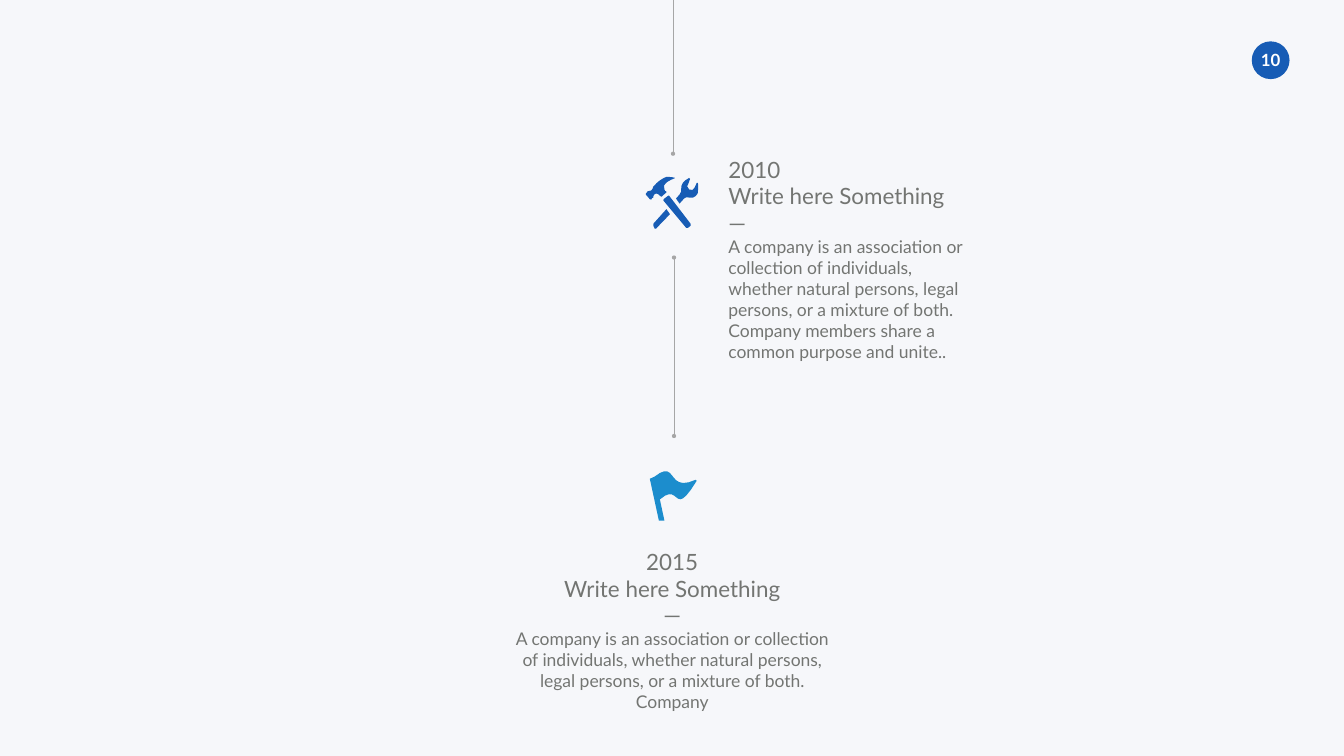
from math import dist

from lxml import etree
from pptx import Presentation
from pptx.dml.color import RGBColor
from pptx.enum.shapes import MSO_CONNECTOR, MSO_SHAPE
from pptx.enum.text import MSO_ANCHOR, MSO_AUTO_SIZE, PP_ALIGN
from pptx.oxml.ns import qn
from pptx.util import Inches, Pt

STRAIGHT, OVAL = MSO_CONNECTOR.STRAIGHT, MSO_SHAPE.OVAL
LEFT, CENTER, MIDDLE = PP_ALIGN.LEFT, PP_ALIGN.CENTER, MSO_ANCHOR.MIDDLE
GROW = MSO_AUTO_SIZE.SHAPE_TO_FIT_TEXT

THEME = {
    "font": "Lato", "background": "F6F7FA", "text": "737572", "rule": "A6A6A6",
    "blue": "175CB5", "sky": "1C8DCD", "white": "FFFFFF",
    "heading": 32, "body": 25, "number": 24, "rule_width": 0.5,
}
PAGE_NUMBER = "10"
BADGE = (24.83, 0.82, 0.75, 0.75)

MILESTONES = [
    {"box": (14.35, 3.04, 4.89, 4.24), "align": LEFT,
     "heading": ["2010", "Write here Something", "—"],
     "body": "A company is an association or collection of individuals, whether natural "
             "persons, legal persons, or a mixture of both. Company members share a "
             "common purpose and unite.."},
    {"box": (10.08, 10.82, 6.51, 2.98), "align": CENTER,
     "heading": ["2015", "Write here Something", "—"],
     "body": "A company is an association or collection of individuals, whether natural "
             "persons, legal persons, or a mixture of both. Company"},
]

TIMELINE = [
    {"x": 13.37, "start": 5.11, "end": 8.65, "dots": ("headEnd", "tailEnd")},
    {"x": 13.35, "start": 3.05, "end": 0, "dots": ("headEnd",)},
]

HAMMER_HEAD = [
    (12.98, 3.86), (13.01, 3.82, 13.05, 3.84, 13.11, 3.9), (13.13, 3.92, 13.13, 3.9, 13.13, 3.9),
    (13.14, 3.9, 13.2, 3.82, 13.22, 3.82), (13.22, 3.8), (13.2, 3.8, 13.18, 3.78, 13.18, 3.76),
    (13.09, 3.61, 13.44, 3.53, 13.39, 3.53), (13.35, 3.51, 13.24, 3.51, 13.22, 3.51),
    (13.16, 3.53, 13.07, 3.59, 13.03, 3.63), (12.98, 3.68, 12.96, 3.7, 12.96, 3.7),
    (12.94, 3.72, 12.96, 3.76, 12.92, 3.78), (12.88, 3.8, 12.86, 3.78, 12.84, 3.8),
    (12.84, 3.82, 12.83, 3.82, 12.81, 3.84), (12.81, 3.86), (12.88, 3.94),
    (12.88, 3.96, 12.9, 3.96, 12.92, 3.96), (12.92, 3.94, 12.94, 3.92, 12.96, 3.92),
    (12.96, 3.92, 12.96, 3.86, 12.98, 3.86),
]
HAMMER_HANDLE = [
    (12.96, 4.44), (12.94, 4.46, 12.94, 4.48, 12.96, 4.48), (12.99, 4.54),
    (13.01, 4.54, 13.03, 4.54, 13.03, 4.52), (13.29, 4.25), (13.22, 4.15),
]
WRENCH_HEAD = [
    (13.85, 3.66), (13.84, 3.61, 13.84, 3.63, 13.82, 3.63), (13.82, 3.66, 13.78, 3.7, 13.78, 3.72),
    (13.76, 3.76, 13.72, 3.8, 13.67, 3.76), (13.61, 3.7, 13.63, 3.68, 13.65, 3.66),
    (13.65, 3.63, 13.69, 3.57, 13.69, 3.55), (13.7, 3.55, 13.69, 3.53, 13.67, 3.53),
    (13.65, 3.55, 13.54, 3.59, 13.52, 3.68), (13.5, 3.74, 13.54, 3.8, 13.48, 3.86),
    (13.41, 3.94), (13.48, 4.04), (13.57, 3.94), (13.59, 3.92, 13.63, 3.9, 13.67, 3.92),
    (13.76, 3.94, 13.8, 3.9, 13.84, 3.84), (13.85, 3.78, 13.85, 3.68, 13.85, 3.66),
]
WRENCH_HANDLE = [
    (13.27, 3.88), (13.26, 3.88), (13.18, 3.94), (13.16, 3.96, 13.16, 3.96, 13.16, 3.98),
    (13.61, 4.52), (13.61, 4.54, 13.63, 4.54, 13.65, 4.52), (13.7, 4.48),
    (13.7, 4.46, 13.7, 4.44, 13.7, 4.44),
]
FLAG = [
    (13.8, 9.52), (13.21, 9.79, 13.45, 9.09, 12.98, 9.46), (12.89, 9.5), (13.07, 10.33),
    (13.18, 10.33), (13.09, 9.91), (13.51, 9.54, 13.34, 10.33, 13.82, 9.54),
    (13.84, 9.54, 13.82, 9.52, 13.8, 9.52),
]
ICONS = [([HAMMER_HEAD, HAMMER_HANDLE, WRENCH_HEAD, WRENCH_HANDLE], "blue"), ([FLAG], "sky")]


def color(role):
    return RGBColor.from_string(THEME[role])


def inches(values):
    return [Inches(value) for value in values]


def style(paragraph, size, role, align, bold=False):
    paragraph.alignment = align
    for run in paragraph.runs:
        run.font.name, run.font.size, run.font.bold = THEME["font"], Pt(THEME[size]), bold
        run.font.color.rgb = color(role)


def paint(shape, role):
    shape.shadow.inherit = False
    shape.fill.solid()
    shape.fill.fore_color.rgb = color(role)
    shape.line.fill.background()


def flatten(outline):
    points = [outline[0]]
    for segment in outline[1:]:
        if len(segment) == 2:
            points.append(segment)
            continue
        anchors = [points[-1], segment[:2], segment[2:4], segment[4:]]
        steps = 1 + round(12 * dist(anchors[0], anchors[3]))
        for step in range(1, steps + 1):
            t = step / steps
            weights = ((1 - t) ** 3, 3 * t * (1 - t) ** 2, 3 * t * t * (1 - t), t ** 3)
            points.append(tuple(sum(w * a[axis] for w, a in zip(weights, anchors))
                                for axis in (0, 1)))
    return [inches(point) for point in points]


def add_icon(slide, outlines, role):
    first, *others = [flatten(outline) for outline in outlines]
    builder = slide.shapes.build_freeform(*first[0])
    builder.add_line_segments(first[1:], close=True)
    for points in others:
        builder.move_to(*points[0])
        builder.add_line_segments(points[1:], close=True)
    paint(builder.convert_to_shape(), role)


def add_timeline(slide, x, start, end, dots):
    rule = slide.shapes.add_connector(STRAIGHT, *inches((x, start, x, end)))
    rule.line.color.rgb = color("rule")
    rule.line.width = Pt(THEME["rule_width"])
    properties = rule._element.spPr
    for dot in dots:
        etree.SubElement(properties.find(qn("a:ln")), qn("a:" + dot), type="oval")
    etree.SubElement(properties, qn("a:effectLst"))


def add_milestone(slide, box, align, heading, body):
    frame = slide.shapes.add_textbox(*inches(box)).text_frame
    frame.word_wrap = True
    frame.auto_size = GROW
    frame.text = "\n".join([*heading, body])
    *heading_lines, description = frame.paragraphs
    for line in heading_lines:
        style(line, "heading", "text", align)
    style(description, "body", "text", align)


def add_badge(slide):
    badge = slide.shapes.add_shape(OVAL, *inches(BADGE))
    paint(badge, "blue")
    frame = badge.text_frame
    frame.word_wrap = False
    frame.vertical_anchor = MIDDLE
    frame.margin_left = frame.margin_right = frame.margin_top = frame.margin_bottom = 0
    frame.text = PAGE_NUMBER
    style(frame.paragraphs[0], "number", "white", CENTER, bold=True)


def main():
    """Build the milestone timeline slide."""
    deck = Presentation()
    deck.slide_width, deck.slide_height = inches((26.66, 15))
    slide = deck.slides.add_slide(deck.slide_layouts[6])
    slide.background.fill.solid()
    slide.background.fill.fore_color.rgb = color("background")
    add_badge(slide)
    for rule in TIMELINE:
        add_timeline(slide, **rule)
    for outlines, role in ICONS:
        add_icon(slide, outlines, role)
    for milestone in MILESTONES:
        add_milestone(slide, **milestone)
    deck.save("out.pptx")


if __name__ == "__main__":
    main()
